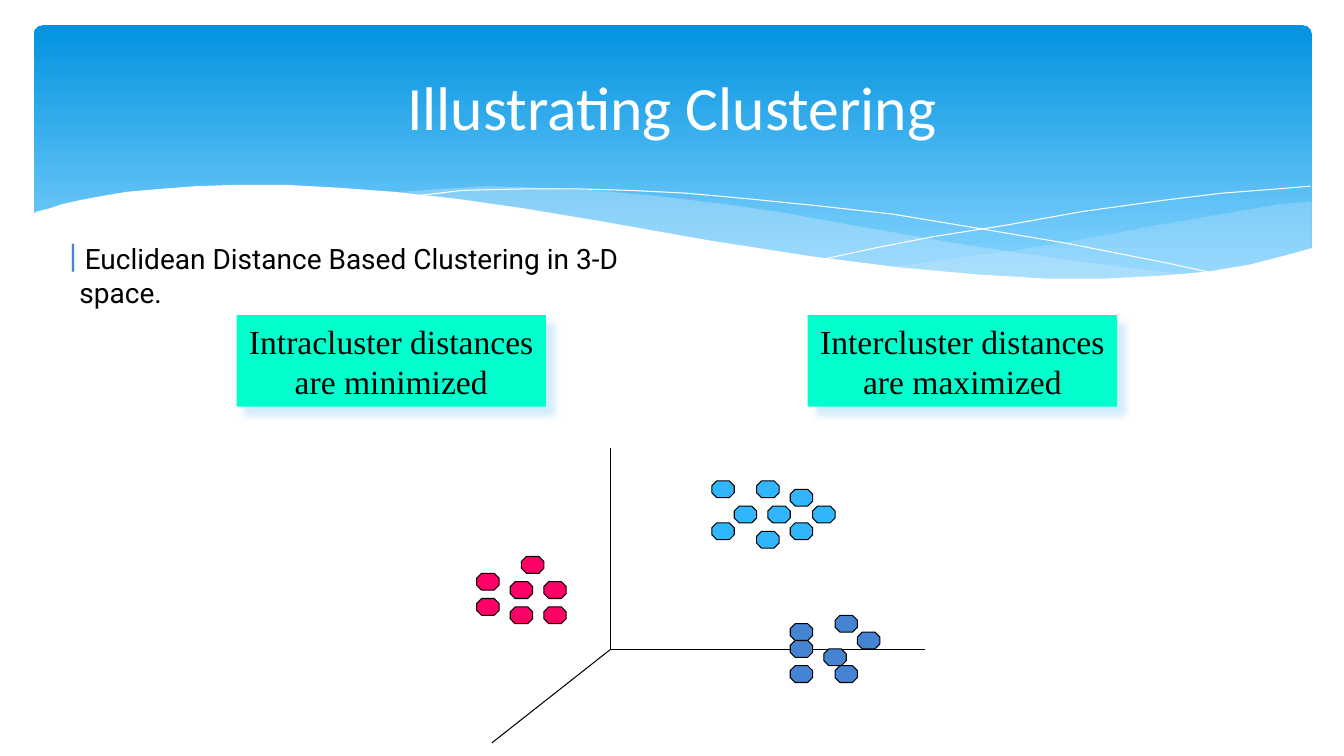
from lxml.etree import SubElement
from pptx import Presentation
from pptx.dml.color import RGBColor
from pptx.enum.shapes import MSO_CONNECTOR, MSO_SHAPE
from pptx.enum.text import MSO_ANCHOR, PP_ALIGN
from pptx.oxml.ns import qn
from pptx.util import Pt


def tint(hex):
    return RGBColor.from_string(hex)


def write(par, text, name, size, color):
    par.text = text
    for key, value in {"name": name, "size": Pt(size)}.items():
        setattr(par.font, key, value)
    par.font.color.rgb = tint(color)


deck = Presentation()
deck.slide_width, deck.slide_height = Pt(960), Pt(540)
slide = deck.slides.add_slide(deck.slide_layouts[5])
shapes = slide.shapes

# Header band
band = shapes.add_shape(MSO_SHAPE.ROUNDED_RECTANGLE, Pt(24), Pt(18), Pt(913), Pt(194.4))
band.adjustments[0] = 0.034
band.shadow.inherit = False
band.line.fill.background()
band.fill.gradient()
band.fill.gradient_angle = 270
for stop, (place, color) in zip(band.fill.gradient_stops, [(0, "0293E0"), (0.9, "83D3FE")]):
    stop.position = place
    stop.color.rgb = tint(color)

# Waves: fill colour, opacity in percent, outline points
waves = [
    ("C6E7FC", 29, [
        (936, 144), (913, 146), (884, 151), (855, 156), (826, 161), (773, 171),
        (724, 179), (678, 185), (635, 191), (663, 194), (690, 196), (727, 199),
        (761, 200), (801, 200), (837, 198), (869, 194), (898, 189), (924, 181),
        (937, 178), (937, 144)]),
    ("C6E7FC", 40, [
        (857, 197), (803, 191), (744, 183), (678, 173), (604, 160), (560, 152),
        (519, 146), (469, 140), (424, 136), (383, 134), (347, 133), (315, 135),
        (275, 138), (310, 141), (348, 146), (388, 152), (431, 160), (508, 173),
        (577, 184), (639, 192), (694, 197), (742, 200), (786, 200), (823, 199)]),
    (None, 100, [
        (297, 140), (330, 136), (372, 135), (415, 135), (450, 136), (490, 138),
        (534, 142), (584, 147), (638, 153), (698, 163), (763, 174), (834, 188),
        (871, 196)]),
    (None, 100, [
        (589, 185), (626, 177), (667, 169), (718, 161), (774, 151), (832, 143),
        (873, 138), (912, 135), (936, 133)]),
    ("FFFFFF", 100, [
        (938, 177), (920, 182), (893, 189), (863, 194), (829, 197), (790, 199),
        (747, 199), (697, 196), (642, 191), (579, 183), (508, 172), (429, 158),
        (375, 149), (326, 142), (281, 137), (240, 134), (203, 132), (169, 132),
        (140, 133), (114, 135), (91, 137), (73, 140), (57, 143), (44, 146),
        (35, 149), (27, 151), (22, 153), (22, 237), (938, 237)]),
]
for color, alpha, points in waves:
    pen = shapes.build_freeform(*points[0], scale=Pt(1))
    pen.add_line_segments(points[1:], close=color is not None)
    wave = pen.convert_to_shape()
    wave.shadow.inherit = False
    if color is None:
        wave.fill.background()
        wave.line.color.rgb = tint("FFFFFF")
        wave.line.width = Pt(0)
        continue
    wave.line.fill.background()
    wave.fill.solid()
    wave.fill.fore_color.rgb = tint(color)
    if alpha < 100:
        paint = wave.element.spPr.find(qn("a:solidFill"))[0]
        SubElement(paint, qn("a:alpha"), val=str(alpha * 1000))

# Title, brought in front of the band
title = shapes.title
title.element.getparent().append(title.element)
place = {"left": 48, "top": 26.6, "width": 864, "height": 98.6}
for key, value in place.items():
    setattr(title, key, Pt(value))
title.text_frame.vertical_anchor = MSO_ANCHOR.MIDDLE
head = title.text_frame.paragraphs[0]
head.alignment = PP_ALIGN.CENTER
write(head, "Illustrating Clustering", "Calibri", 44, "FFFFFF")

# Bullet line
note = shapes.add_textbox(Pt(36.7), Pt(169.2), Pt(471), Pt(31.7))
note.text_frame.word_wrap = True
par = note.text_frame.paragraphs[0]
props = par._p.get_or_add_pPr()
props.set("marL", str(Pt(13)))
props.set("indent", str(Pt(-13)))
SubElement(SubElement(props, qn("a:buClr")), qn("a:srgbClr"), val="4584D3")
SubElement(props, qn("a:buChar"), char="❘")
write(par, "Euclidean Distance Based Clustering in 3-D space.", "Roboto", 20, "000000")

# Labels with a soft shadow
labels = [
    (168, ["Intracluster distances", "are minimized"]),
    (576, ["Intercluster distances", "are maximized"]),
]
for left, lines in labels:
    box = shapes.add_shape(MSO_SHAPE.RECTANGLE, Pt(left + 1), Pt(225), Pt(221), Pt(65.5))
    box.fill.solid()
    box.fill.fore_color.rgb = tint("00FFCC")
    box.line.fill.background()
    box.shadow.inherit = False
    glow = SubElement(box.element.spPr.find(qn("a:effectLst")), qn("a:outerShdw"),
                      blurRad=str(Pt(5)), dist=str(Pt(8.5)), dir="2700000")
    shade = SubElement(glow, qn("a:srgbClr"), val="C6E7FC")
    SubElement(shade, qn("a:alpha"), val="75000")
    frame = box.text_frame
    frame.word_wrap = False
    frame.add_paragraph()
    for par, text in zip(frame.paragraphs, lines):
        par.alignment = PP_ALIGN.CENTER
        write(par, text, "Times New Roman", 24, "000000")

# Axes from a shared corner
for x, y in [(436.3, 319.7), (661, 463.7), (351.4, 530.6)]:
    axis = shapes.add_connector(MSO_CONNECTOR.STRAIGHT, Pt(436.3), Pt(463.7), Pt(x), Pt(y))
    axis.line.color.rgb = tint("000000")
    axis.line.width = Pt(0.75)
    SubElement(axis.element.spPr, qn("a:effectLst"))

# Clusters: column and row of each dot on an 8 by 6 point grid
groups = {
    "31B6FD": [(23, 3), (26, 3), (25, 0), (25, 6), (30, 3), (28, 1), (21, 0), (28, 5), (21, 5)],
    "FF0066": [(0, 11), (3, 12), (3, 15), (6, 12), (4, 9), (6, 15), (0, 14)],
    "4584D3": [(28, 17), (34, 18), (31, 20), (28, 22), (32, 22), (28, 19), (32, 16)],
}
for color, cells in groups.items():
    for col, row in cells:
        dot = shapes.add_shape(MSO_SHAPE.OCTAGON, Pt(340.5 + 8 * col), Pt(343.5 + 6 * row),
                               Pt(16), Pt(12))
        dot.shadow.inherit = False
        dot.fill.solid()
        dot.fill.fore_color.rgb = tint(color)
        dot.line.color.rgb = tint("000000")
        dot.line.width = Pt(0.75)

deck.save("out.pptx")
